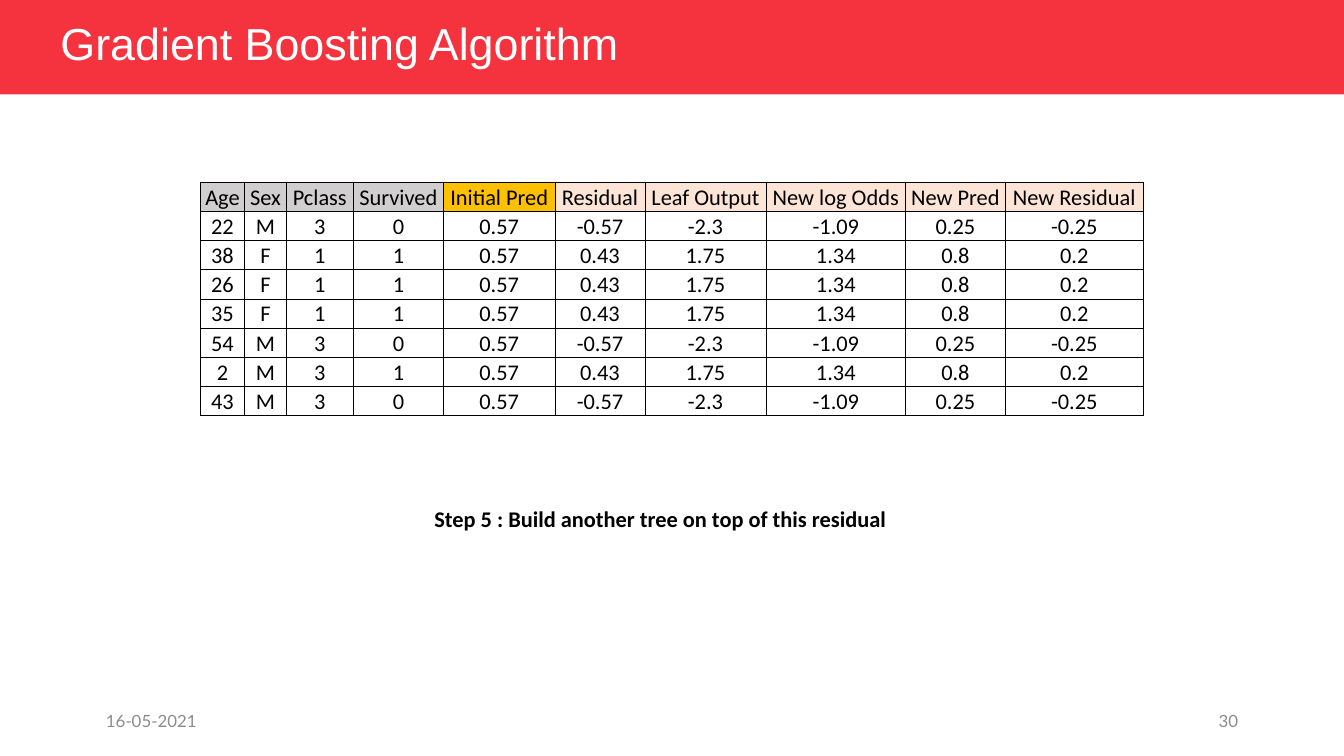
from lxml.etree import SubElement
from pptx import Presentation
from pptx.dml.color import RGBColor
from pptx.enum.shapes import MSO_SHAPE
from pptx.enum.text import MSO_ANCHOR, MSO_AUTO_SIZE, PP_ALIGN
from pptx.oxml.ns import qn
from pptx.util import Inches, Pt

TITLE = "Gradient Boosting Algorithm"
STEP = "Step 5 : Build another tree on top of this residual"
DATE, PAGE = "16-05-2021", "30"
GREY, AMBER, PEACH = "D0CECE", "FFC000", "FCE4D6"
COLUMNS = [
    ("Age", 0.33, GREY), ("Sex", 0.31, GREY), ("Pclass", 0.5, GREY),
    ("Survived", 0.67, GREY), ("Initial Pred", 0.83, AMBER),
    ("Residual", 0.67, PEACH), ("Leaf Output", 0.9, PEACH),
    ("New log Odds", 1.04, PEACH), ("New Pred", 0.74, PEACH),
    ("New Residual", 1.03, PEACH),
]
PASSENGERS = [
    ("22", "M", "3", "0", "0.57", "-0.57", "-2.3", "-1.09", "0.25", "-0.25"),
    ("38", "F", "1", "1", "0.57", "0.43", "1.75", "1.34", "0.8", "0.2"),
    ("26", "F", "1", "1", "0.57", "0.43", "1.75", "1.34", "0.8", "0.2"),
    ("35", "F", "1", "1", "0.57", "0.43", "1.75", "1.34", "0.8", "0.2"),
    ("54", "M", "3", "0", "0.57", "-0.57", "-2.3", "-1.09", "0.25", "-0.25"),
    ("2", "M", "3", "1", "0.57", "0.43", "1.75", "1.34", "0.8", "0.2"),
    ("43", "M", "3", "0", "0.57", "-0.57", "-2.3", "-1.09", "0.25", "-0.25"),
]
SLIDE_W = 10
SLIDE_H = SLIDE_W * 9 / 16
TABLE_LEFT, TABLE_TOP, TABLE_H = 1.49, 1.36, 1.73


def color(hex_code):
    return RGBColor.from_string(hex_code)


def write(frame, words, size, font, hex_code, align=PP_ALIGN.LEFT, bold=False):
    paragraph = frame.paragraphs[0]
    paragraph.alignment = align
    run = paragraph.add_run()
    run.text = words
    run.font.size, run.font.name, run.font.bold = Pt(size), font, bold
    run.font.color.rgb = color(hex_code)
    return paragraph


def add_label(slide, place, anchor, *style, **options):
    frame = slide.shapes.add_textbox(*map(Inches, place)).text_frame
    frame.word_wrap = True
    frame.vertical_anchor = anchor
    write(frame, *style, **options)


def add_borders(cell):
    properties = cell._tc.get_or_add_tcPr()
    for side in ("a:lnL", "a:lnR", "a:lnT", "a:lnB"):
        line = SubElement(properties, qn(side), w=str(Pt(0.5)))
        SubElement(SubElement(line, qn("a:solidFill")), qn("a:srgbClr"), val="000000")


def add_banner(slide):
    banner = slide.shapes.add_shape(
        MSO_SHAPE.RECTANGLE, 0, 0, Inches(SLIDE_W), Inches(SLIDE_H / 8))
    banner.shadow.inherit = False
    banner.fill.solid()
    banner.fill.fore_color.rgb = color("F5333F")
    banner.line.fill.background()
    title = slide.shapes.title
    title._element.addprevious(banner._element)
    title.left, title.top, title.width, title.height = map(Inches, (0.35, 0.13, 6.4, 0.42))
    title.text_frame.auto_size = MSO_AUTO_SIZE.NONE
    title.text_frame.vertical_anchor = MSO_ANCHOR.MIDDLE
    write(title.text_frame, TITLE, 24, "Arial", "FFFFFF").line_spacing = 0.9


def add_passenger_table(slide):
    headings, widths, fills = zip(*COLUMNS)
    rows = [headings, *PASSENGERS]
    table = slide.shapes.add_table(
        len(rows), len(COLUMNS), Inches(TABLE_LEFT), Inches(TABLE_TOP),
        Inches(sum(widths)), Inches(TABLE_H)).table
    table.horz_banding = table.first_row = False
    for column, width in zip(table.columns, widths):
        column.width = Inches(width)
    for r, values in enumerate(rows):
        table.rows[r].height = Inches(TABLE_H / len(rows))
        for c, value in enumerate(values):
            cell = table.cell(r, c)
            cell.margin_left = cell.margin_right = cell.margin_top = Inches(0.01)
            cell.margin_bottom = 0
            cell.vertical_anchor = MSO_ANCHOR.BOTTOM
            add_borders(cell)
            if r == 0:
                cell.fill.solid()
                cell.fill.fore_color.rgb = color(fills[c])
            else:
                cell.fill.background()
            write(cell.text_frame, value, 12, "Calibri", "000000", PP_ALIGN.CENTER)


def main():
    """Build the gradient boosting slide."""
    deck = Presentation()
    deck.slide_width, deck.slide_height = Inches(SLIDE_W), Inches(SLIDE_H)
    slide = deck.slides.add_slide(deck.slide_layouts[5])
    add_banner(slide)
    for words, left, align in ((DATE, 0.69, PP_ALIGN.LEFT), (PAGE, 7.06, PP_ALIGN.RIGHT)):
        add_label(slide, (left, 5.21, 2.25, 0.3), MSO_ANCHOR.MIDDLE,
                  words, 9, "Lato", "8C8C8C", align)
    add_passenger_table(slide)
    add_label(slide, (0.86, 3.71, 8.11, 0.3), MSO_ANCHOR.TOP,
              STEP, 12, "Calibri", "000000", PP_ALIGN.CENTER, bold=True)
    deck.save("out.pptx")


if __name__ == "__main__":
    main()
